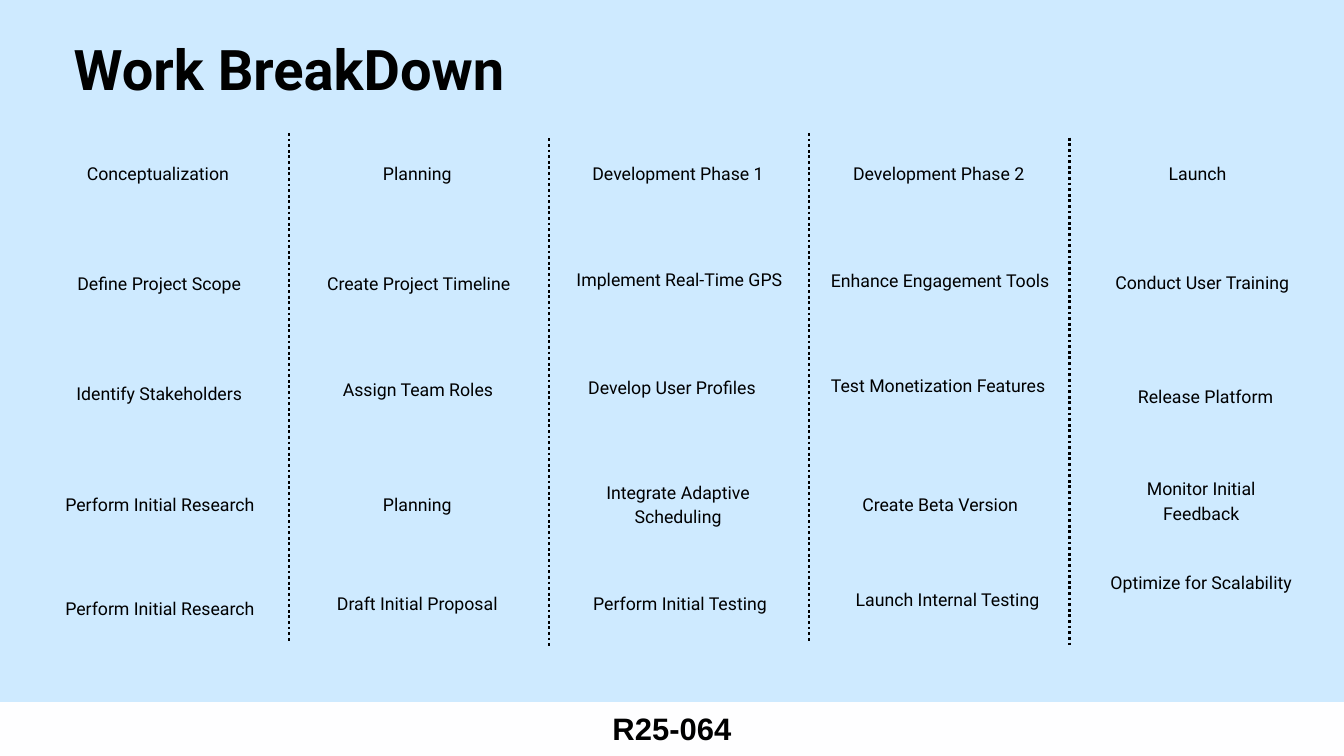
"""Build the work breakdown slide: five phases divided by dotted lines."""
from lxml import etree
from pptx import Presentation
from pptx.dml.color import RGBColor
from pptx.enum import dml, shapes, text
from pptx.oxml import ns
from pptx.util import Inches, Pt

COLORS = {"background": "CEEAFF", "band": "FEFEFF", "ink": "000000"}
WIDTH, HEIGHT = 20, 11.25
LABEL_W, LINE_H = 3.3, 0.36
HEADING_TOP = 2.37
BAND_TOP = 10.45
DIVIDER_LEFT, DIVIDER_STEP, DIVIDER_H = 4.3, 3.87, 7.57
DIVIDER_TOPS = [1.98, 2.06, 1.98, 2.05]

# Each phase: heading, heading left, tasks as (text, left, top, width, lines)
PHASES = [
    ("Conceptualization", 0.7, [
        ("Define Project Scope", 0.72, 4.01, LABEL_W, 1),
        ("Identify Stakeholders", 0.72, 5.65, LABEL_W, 1),
        ("Perform Initial Research", 0.73, 7.29, LABEL_W, 1),
        ("Perform Initial Research", 0.73, 8.84, LABEL_W, 1)]),
    ("Planning", 4.56, [
        ("Create Project Timeline", 4.58, 4.01, LABEL_W, 1),
        ("Assign Team Roles", 4.57, 5.59, LABEL_W, 1),
        ("Planning", 4.56, 7.29, LABEL_W, 1),
        ("Draft Initial Proposal", 4.56, 8.77, LABEL_W, 1)]),
    ("Development Phase 1", 8.44, [
        ("Implement Real-Time GPS", 8.46, 3.95, LABEL_W, 2),
        ("Develop User Profiles", 8.35, 5.56, LABEL_W, 1),
        ("Integrate Adaptive Scheduling", 8.44, 7.11, LABEL_W, 2),
        ("Perform Initial Testing", 8.47, 8.77, LABEL_W, 1)]),
    ("Development Phase 2", 12.32, [
        ("Enhance Engagement Tools", 12.34, 3.96, LABEL_W, 2),
        ("Test Monetization Features", 12.31, 5.52, LABEL_W, 2),
        ("Create Beta Version", 12.34, 7.3, LABEL_W, 1),
        ("Launch Internal Testing", 12.45, 8.71, LABEL_W, 1)]),
    ("Launch", 16.17, [
        ("Conduct User Training", 16.24, 3.99, LABEL_W, 1),
        ("Release Platform", 16.29, 5.69, LABEL_W, 1),
        ("Monitor Initial Feedback", 16.55, 7.06, 2.65, 2),
        ("Optimize for Scalability", 16.44, 8.45, 2.87, 2)]),
]


def color(name):
    """Return a named colour."""
    return RGBColor.from_string(COLORS[name])


def write(sp, words, size, spacing, font="Roboto", bold=False):
    """Fill a shape with one centred paragraph."""
    tf = sp.text_frame
    tf.margin_left = tf.margin_top = tf.margin_right = tf.margin_bottom = 0
    tf.word_wrap = True
    tf.auto_size = text.MSO_AUTO_SIZE.NONE
    tf.vertical_anchor = text.MSO_ANCHOR.TOP
    p = tf.paragraphs[0]
    p.alignment = text.PP_ALIGN.CENTER
    p.line_spacing = Pt(spacing)
    p.space_before = Pt(0)
    r = p.add_run()
    r.text = words
    r.font.name, r.font.size, r.font.bold = font, Pt(size), bold
    r.font.color.rgb = color("ink")


def add_label(s, words, left, top, width=LABEL_W, lines=1):
    """Add one phase heading or task."""
    sp = s.shapes.add_textbox(Inches(left), Inches(top), Inches(width), Inches(lines * LINE_H))
    write(sp, words, 19, 26.6)


def add_divider(s, x, top):
    """Add a dotted vertical line."""
    line = s.shapes.add_connector(shapes.MSO_CONNECTOR.STRAIGHT, Inches(x), Inches(top),
                                  Inches(x), Inches(top + DIVIDER_H))
    line.line.color.rgb = color("ink")
    line.line.width = Pt(3)
    line.line.dash_style = dml.MSO_LINE.ROUND_DOT
    etree.SubElement(line._element.spPr, ns.qn("a:effectLst"))


def add_footer(s):
    """Add the bottom band and its code."""
    band = s.shapes.add_shape(shapes.MSO_SHAPE.RECTANGLE, 0, Inches(BAND_TOP),
                              Inches(WIDTH), Inches(HEIGHT - BAND_TOP))
    band.shadow.inherit = False
    band.fill.solid()
    band.fill.fore_color.rgb = color("band")
    band.line.fill.background()
    sp = s.shapes.add_textbox(Inches(9.05), Inches(10.47), Inches(1.9), Inches(0.65))
    write(sp, "R25-064", 33.2, 46.5, "Arial", True)


def main():
    """Build and save the slide."""
    prs = Presentation()
    prs.slide_width, prs.slide_height = Inches(WIDTH), Inches(HEIGHT)
    s = prs.slides.add_slide(prs.slide_layouts[5])
    s.background.fill.solid()
    s.background.fill.fore_color.rgb = color("background")
    add_footer(s)
    title = s.shapes.title
    title.left, title.top = Inches(-0.7), Inches(0.34)
    title.width, title.height = Inches(10), Inches(1.12)
    write(title, "Work BreakDown", 60, 84, bold=True)
    for heading, left, tasks in PHASES:
        add_label(s, heading, left, HEADING_TOP)
        for task in tasks:
            add_label(s, *task)
    for i, top in enumerate(DIVIDER_TOPS):
        add_divider(s, DIVIDER_LEFT + i * DIVIDER_STEP, top)
    prs.save("out.pptx")


if __name__ == "__main__":
    main()
